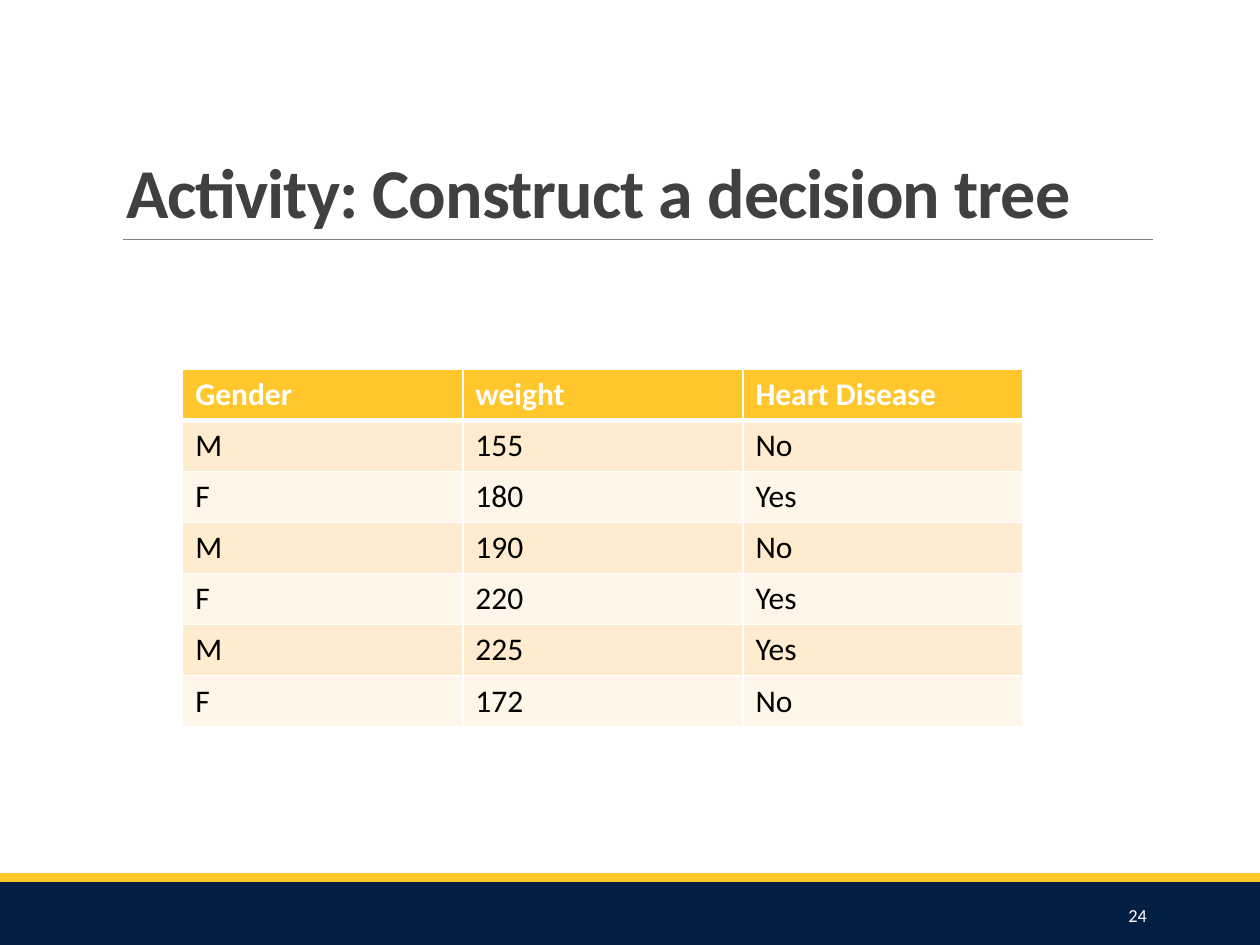
import pptx
import pptx.dml.color
import pptx.enum.shapes
import pptx.enum.text
import pptx.oxml.ns
import pptx.util
from lxml import etree
from pptx.util import Inches

FONT = "Calibri"
NAVY, GOLD, WHITE = "041E44", "FFC72C", "FFFFFF"
BAND_FILLS = ("FFEBCD", "FFF5E8")
PATIENTS = [
    ("Gender", "weight", "Heart Disease"),
    ("M", "155", "No"),
    ("F", "180", "Yes"),
    ("M", "190", "No"),
    ("F", "220", "Yes"),
    ("M", "225", "Yes"),
    ("F", "172", "No"),
]


def color(value):
    return pptx.dml.color.RGBColor.from_string(value)


def style_font(paragraph, size, value, bold=False):
    font = paragraph.font
    font.name = FONT
    font.size = pptx.util.Pt(size)
    font.bold = bold
    font.color.rgb = color(value)


def add_child(parent, tag, **attributes):
    return etree.SubElement(parent, pptx.oxml.ns.qn(tag), **attributes)


def add_band(slide, top, height, fill):
    """Add a strip across the whole slide."""
    band = slide.shapes.add_shape(
        pptx.enum.shapes.MSO_SHAPE.RECTANGLE,
        Inches(0), Inches(top), Inches(10), Inches(height))
    band.shadow.inherit = False
    band.fill.solid()
    band.fill.fore_color.rgb = color(fill)
    band.line.fill.background()


def add_rule(slide, left, right, y):
    rule = slide.shapes.add_connector(
        pptx.enum.shapes.MSO_CONNECTOR.STRAIGHT,
        Inches(left), Inches(y), Inches(right), Inches(y))
    rule.line.color.rgb = color("808080")
    rule.line.width = pptx.util.Pt(0.5)
    add_child(rule._element.spPr, "a:effectLst")


def set_title(slide, text):
    title = slide.shapes.title
    title.left, title.top = Inches(0.9), Inches(0.31)
    title.width, title.height = Inches(8.25), Inches(1.59)
    frame = title.text_frame
    frame.text = text
    frame.auto_size = pptx.enum.text.MSO_AUTO_SIZE.NONE
    frame.vertical_anchor = pptx.enum.text.MSO_ANCHOR.BOTTOM
    paragraph = frame.paragraphs[0]
    paragraph.alignment = pptx.enum.text.PP_ALIGN.LEFT
    paragraph.line_spacing = 0.85
    style_font(paragraph, 40, "404040", bold=True)
    paragraph.runs[0]._r.get_or_add_rPr().set("spc", "-50")


def add_page_number(slide, number):
    box = slide.shapes.add_textbox(
        Inches(8.12), Inches(7.06), Inches(1.08), Inches(0.4))
    frame = box.text_frame
    frame.word_wrap = True
    frame.vertical_anchor = pptx.enum.text.MSO_ANCHOR.MIDDLE
    frame.text = number
    paragraph = frame.paragraphs[0]
    paragraph.alignment = pptx.enum.text.PP_ALIGN.RIGHT
    style_font(paragraph, 10.5, WHITE)


def set_borders(cell, **widths):
    """Draw white borders; widths are points keyed by side: L, R, T, B."""
    properties = cell._tc.get_or_add_tcPr()
    for side, width in widths.items():
        line = add_child(properties, f"a:ln{side}", w=str(pptx.util.Pt(width)))
        add_child(add_child(line, "a:solidFill"), "a:srgbClr", val=WHITE)


def add_patient_table(slide, rows):
    table = slide.shapes.add_table(
        len(rows), len(rows[0]),
        Inches(1.45), Inches(2.93), Inches(6.67), Inches(2.84)).table
    for row_index, row in enumerate(rows):
        header = row_index == 0
        fill = GOLD if header else BAND_FILLS[(row_index - 1) % 2]
        for column_index, text in enumerate(row):
            cell = table.cell(row_index, column_index)
            cell.text = text
            style_font(cell.text_frame.paragraphs[0], 18,
                       WHITE if header else "000000", bold=header)
            set_borders(cell, L=1, R=1, T=3 if row_index == 1 else 1,
                        B=3 if header else 1)
            cell.fill.solid()
            cell.fill.fore_color.rgb = color(fill)


def main():
    deck = pptx.Presentation()
    deck.slide_width, deck.slide_height = Inches(10), Inches(7.5)
    slide = deck.slides.add_slide(deck.slide_layouts.get_by_name("Title Only"))
    add_band(slide, 7, 0.5, NAVY)
    add_band(slide, 6.93, 0.07, GOLD)
    add_rule(slide, 0.98, 9.15, 1.9)
    set_title(slide, "Activity: Construct a decision tree")
    add_page_number(slide, "24")
    add_patient_table(slide, PATIENTS)
    deck.save("out.pptx")


if __name__ == "__main__":
    main()
